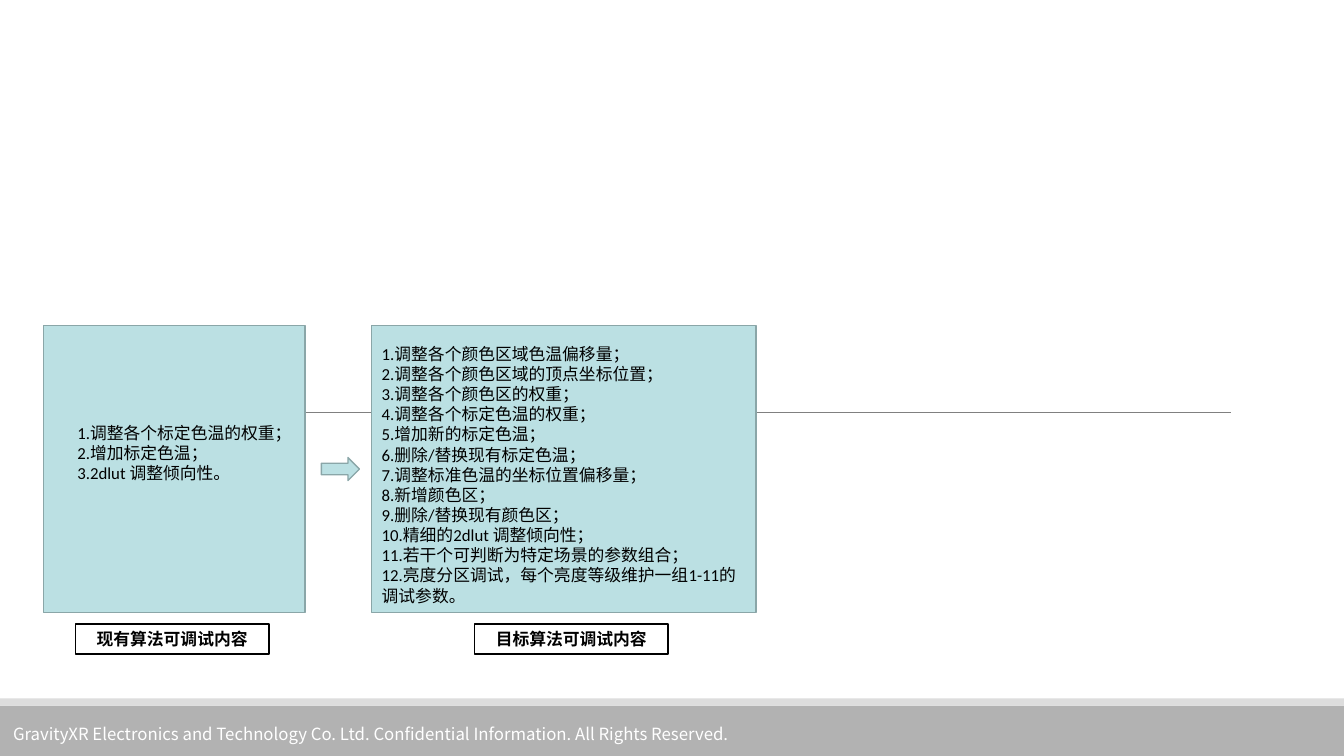
from lxml import etree
from pptx import Presentation
from pptx.dml.color import RGBColor
from pptx.enum.shapes import MSO_CONNECTOR, MSO_SHAPE
from pptx.enum.text import MSO_ANCHOR, PP_ALIGN
from pptx.oxml.ns import qn
from pptx.util import Cm, Pt

RECTANGLE = MSO_SHAPE.RECTANGLE
RIGHT_ARROW = MSO_SHAPE.RIGHT_ARROW
STRAIGHT = MSO_CONNECTOR.STRAIGHT
TOP = MSO_ANCHOR.TOP
MIDDLE = MSO_ANCHOR.MIDDLE
LEFT = PP_ALIGN.LEFT
CENTER = PP_ALIGN.CENTER

COLORS = {
    "white": "FFFFFF",
    "black": "000000",
    "footer": "B2B2B2",
    "strip": "DDDDDD",
    "rule": "808080",
    "panel": "BBE0E3",
    "panel_edge": "8AA6A8",
}
BODY_FONT = "Calibri"
FOOTER_FONT = "Noto Sans CJK SC"

SLIDE_WIDTH, SLIDE_HEIGHT = 33.87, 19.05
PANEL_TOP, PANEL_HEIGHT = 8.2, 7.24
LABEL_TOP, LABEL_WIDTH, LABEL_HEIGHT = 15.72, 4.88, 0.76

FOOTER_TEXT = (
    "GravityXR Electronics and Technology Co. Ltd. "
    "Confidential Information. All Rights Reserved."
)
CURRENT_ITEMS = [
    "调整各个标定色温的权重；",
    "增加标定色温；",
    "2dlut 调整倾向性。",
]
TARGET_ITEMS = [
    "调整各个颜色区域色温偏移量；",
    "调整各个颜色区域的顶点坐标位置；",
    "调整各个颜色区的权重；",
    "调整各个标定色温的权重；",
    "增加新的标定色温；",
    "删除/替换现有标定色温；",
    "调整标准色温的坐标位置偏移量；",
    "新增颜色区；",
    "删除/替换现有颜色区；",
    "精细的2dlut 调整倾向性；",
    "若干个可判断为特定场景的参数组合；",
    "亮度分区调试，每个亮度等级维护一组1-11的调试参数。",
]


def color(name):
    return RGBColor.from_string(COLORS[name])


def numbered(items):
    return [f"{number}.{item}" for number, item in enumerate(items, 1)]


def write(frame, lines, font=BODY_FONT, size=12, ink="black", bold=False,
          align=LEFT, anchor=TOP):
    frame.word_wrap = True
    frame.vertical_anchor = anchor
    for index, line in enumerate(lines):
        para = frame.add_paragraph() if index else frame.paragraphs[0]
        para.alignment = align
        span = para.add_run()
        span.text = line
        span.font.name = font
        span.font.size = Pt(size)
        span.font.bold = bold
        span.font.color.rgb = color(ink)


class SlideBuilder:
    def __init__(self, page):
        self.page = page

    def shape(self, left, top, width, height, fill, edge=None, kind=RECTANGLE):
        shape = self.page.shapes.add_shape(
            kind, Cm(left), Cm(top), Cm(width), Cm(height))
        shape.shadow.inherit = False
        shape.fill.solid()
        shape.fill.fore_color.rgb = color(fill)
        if edge:
            shape.line.color.rgb = color(edge)
            shape.line.width = Pt(1)
        else:
            shape.line.fill.background()
        return shape

    def panel(self, left, width):
        self.shape(left, PANEL_TOP, width, PANEL_HEIGHT, "panel", "panel_edge")

    def label(self, left, text):
        box = self.shape(left, LABEL_TOP, LABEL_WIDTH, LABEL_HEIGHT, "white", "black")
        write(box.text_frame, [text], bold=True, align=CENTER, anchor=MIDDLE)

    def text(self, left, top, width, height, lines, inset=None, **style):
        box = self.page.shapes.add_textbox(Cm(left), Cm(top), Cm(width), Cm(height))
        frame = box.text_frame
        if inset is not None:
            frame.margin_left = frame.margin_right = Cm(inset)
            frame.margin_top = frame.margin_bottom = Cm(inset)
        write(frame, lines, **style)

    def rule(self, left, right, top):
        line = self.page.shapes.add_connector(
            STRAIGHT, Cm(left), Cm(top), Cm(right), Cm(top))
        line.line.color.rgb = color("rule")
        line.line.width = Pt(0.5)
        etree.SubElement(line._element.spPr, qn("a:effectLst"))


def main():
    deck = Presentation()
    deck.slide_width = Cm(SLIDE_WIDTH)
    deck.slide_height = Cm(SLIDE_HEIGHT)
    builder = SlideBuilder(deck.slides.add_slide(deck.slide_layouts[6]))

    builder.shape(0, 17.78, SLIDE_WIDTH, 1.27, "footer")
    builder.shape(0, 17.6, SLIDE_WIDTH, 0.18, "strip")
    builder.rule(3.33, 31.01, 10.39)
    builder.text(0.25, 17.98, 27.48, 1.02, [FOOTER_TEXT], inset=0.08,
                 font=FOOTER_FONT, ink="white", anchor=MIDDLE)

    builder.panel(9.37, 9.68)
    builder.panel(1.09, 6.6)
    builder.text(9.37, 8.53, 9.55, 6.73, numbered(TARGET_ITEMS))
    builder.shape(8.1, 11.53, 0.96, 0.58, "panel", "panel_edge", RIGHT_ARROW)
    builder.label(11.96, "目标算法可调试内容")
    builder.label(1.9, "现有算法可调试内容")
    builder.text(1.7, 10.52, 6.25, 2.79, numbered(CURRENT_ITEMS))

    deck.save("out.pptx")


if __name__ == "__main__":
    main()
